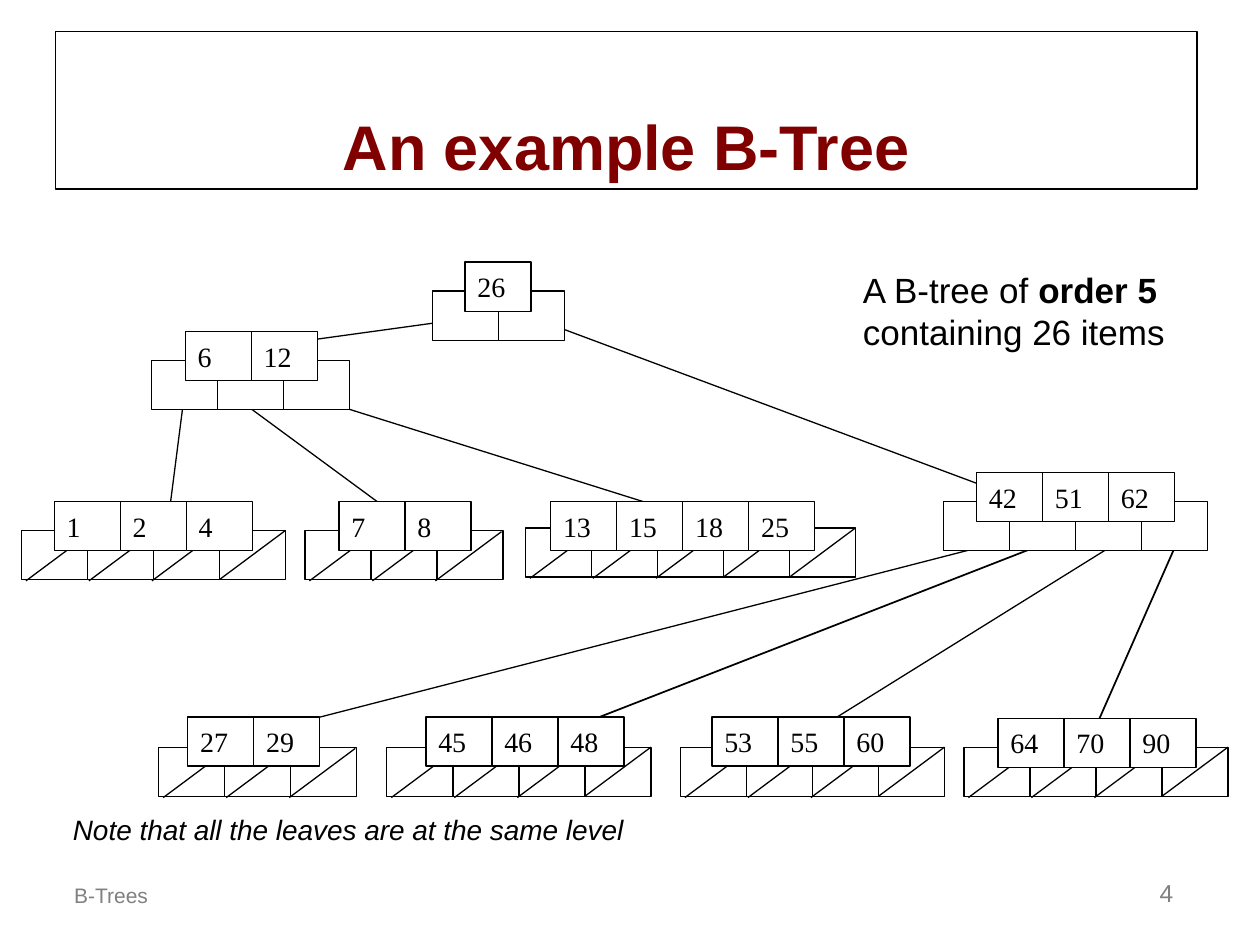
"""Build a slide that shows an example B-tree of order 5."""
from lxml import etree
from pptx import Presentation
from pptx.dml.color import RGBColor
from pptx.enum.shapes import MSO_CONNECTOR, MSO_SHAPE
from pptx.enum.text import MSO_ANCHOR, PP_ALIGN
from pptx.oxml.ns import qn
from pptx.util import Inches, Pt

RECTANGLE = MSO_SHAPE.RECTANGLE
STRAIGHT = MSO_CONNECTOR.STRAIGHT
TOP, MIDDLE, BOTTOM = MSO_ANCHOR.TOP, MSO_ANCHOR.MIDDLE, MSO_ANCHOR.BOTTOM
LEFT, CENTER, RIGHT = PP_ALIGN.LEFT, PP_ALIGN.CENTER, PP_ALIGN.RIGHT

BLACK, WHITE, GREY, MAROON = "000000", "FFFFFF", "808080", "800000"
CELL_WIDTH, CELL_HEIGHT = 0.524, 0.39

# keys, left and top of the pointer row, left and top of the key row
INNER_NODES = [
    ([26], 3.43, 2.31, 3.69, 2.08),
    ([6, 12], 1.2, 2.86, 1.47, 2.63),
    ([42, 51, 62], 7.49, 3.98, 7.75, 3.75),
]
LEAVES = [
    ([1, 2, 4], 0.17, 4.21, 0.43, 3.98),
    ([7, 8], 2.42, 4.21, 2.69, 3.98),
    ([13, 15, 18, 25], 4.17, 4.19, 4.37, 3.98),
    ([27, 29], 1.26, 5.93, 1.49, 5.69),
    ([45, 46, 48], 3.07, 5.93, 3.38, 5.69),
    ([53, 55, 60], 5.4, 5.93, 5.65, 5.69),
    ([64, 70, 90], 7.65, 5.93, 7.92, 5.7),
]
# start, end, line width
EDGES = [
    ((3.69, 2.53), (1.73, 2.8), 0.75),
    ((4.17, 2.5), (8.54, 4.13), 0.75),
    ((1.47, 3.08), (1.33, 4.17), 0.75),
    ((2, 3.25), (3.25, 4.17), 0.75),
    ((2.3, 3.1), (5.42, 4.08), 0.75),
    ((7.83, 4.33), (2, 5.83), 0.75),
    ((8.25, 4.33), (4.17, 5.92), 1),
    ((8.83, 4.33), (6.42, 5.83), 0.75),
    ((9.33, 4.33), (8.67, 5.83), 1),
]
# runs, box, size, colour, alignment, anchor, wrap, italic
TEXTS = [
    ([("A B-tree of ", False), ("order 5", True), (" containing 26 items", False)],
     (6.75, 2.08, 2.92, 0.77), 20, BLACK, LEFT, TOP, True, False),
    ([("Note that all the leaves are at the same level", False)],
     (0.48, 6.4, 4.59, 0.37), 16, BLACK, LEFT, TOP, False, True),
    ([("B-Trees", False)], (0.49, 6.75, 3, 0.5), 12, GREY, LEFT, BOTTOM, True, False),
    ([("4", False)], (7.33, 6.75, 2.08, 0.5), 14, GREY, RIGHT, BOTTOM, True, False),
]


def color(value):
    return RGBColor.from_string(value)


def write(shape, runs, size, text_color, font_name="Arial", alignment=LEFT,
          anchor=MIDDLE, wrap=True, italic=False):
    frame = shape.text_frame
    frame.word_wrap = wrap
    frame.vertical_anchor = anchor
    paragraph = frame.paragraphs[0]
    paragraph.alignment = alignment
    font = paragraph.font
    font.name, font.size, font.italic = font_name, Pt(size), italic
    font.color.rgb = color(text_color)
    for text, bold in runs:
        run = paragraph.add_run()
        run.text = text
        run.font.bold = bold


def add_box(slide, left, top, width, height):
    shape = slide.shapes.add_shape(
        RECTANGLE, Inches(left), Inches(top), Inches(width), Inches(height))
    shape.shadow.inherit = False
    shape.fill.solid()
    shape.fill.fore_color.rgb = color(WHITE)
    shape.line.color.rgb = color(BLACK)
    shape.line.width = Pt(0.75)
    return shape


def add_line(slide, start, end, width=0.75):
    points = [Inches(value) for value in (*start, *end)]
    connector = slide.shapes.add_connector(STRAIGHT, *points)
    connector.line.color.rgb = color(BLACK)
    connector.line.width = Pt(width)
    etree.SubElement(connector._element.spPr, qn("a:effectLst"))


def add_null_slash(slide, left, top, index):
    if index < 3:
        right, top = left + 0.56 + 0.5 * index, top + 0.01
    else:
        right = left + CELL_WIDTH * (index + 1)
    add_line(slide, (right, top), (right - CELL_WIDTH, top + CELL_HEIGHT))


def add_node(slide, keys, left, top, key_left, key_top, is_leaf):
    pointers = range(len(keys) + 1)
    for index in pointers:
        add_box(slide, left + index * CELL_WIDTH, top, CELL_WIDTH, CELL_HEIGHT)
    if is_leaf:
        for index in pointers:
            add_null_slash(slide, left, top, index)
    for index, key in enumerate(keys):
        cell = add_box(slide, key_left + index * CELL_WIDTH, key_top,
                       CELL_WIDTH, CELL_HEIGHT)
        write(cell, [(str(key), False)], 16, BLACK, "Times New Roman")


def main():
    presentation = Presentation()
    presentation.slide_width, presentation.slide_height = Inches(10), Inches(7.5)
    slide = presentation.slides.add_slide(presentation.slide_layouts[6])

    title = add_box(slide, 0.44, 0.25, 9.06, 1.25)
    write(title, [("An example B-Tree", True)], 36, MAROON,
          alignment=CENTER, anchor=BOTTOM)
    for start, end, width in EDGES:
        add_line(slide, start, end, width)
    for nodes, is_leaf in ((INNER_NODES, False), (LEAVES, True)):
        for node in nodes:
            add_node(slide, *node, is_leaf)
    for runs, box, size, text_color, alignment, anchor, wrap, italic in TEXTS:
        shape = slide.shapes.add_textbox(*[Inches(value) for value in box])
        write(shape, runs, size, text_color, alignment=alignment,
              anchor=anchor, wrap=wrap, italic=italic)
    presentation.save("out.pptx")


if __name__ == "__main__":
    main()
